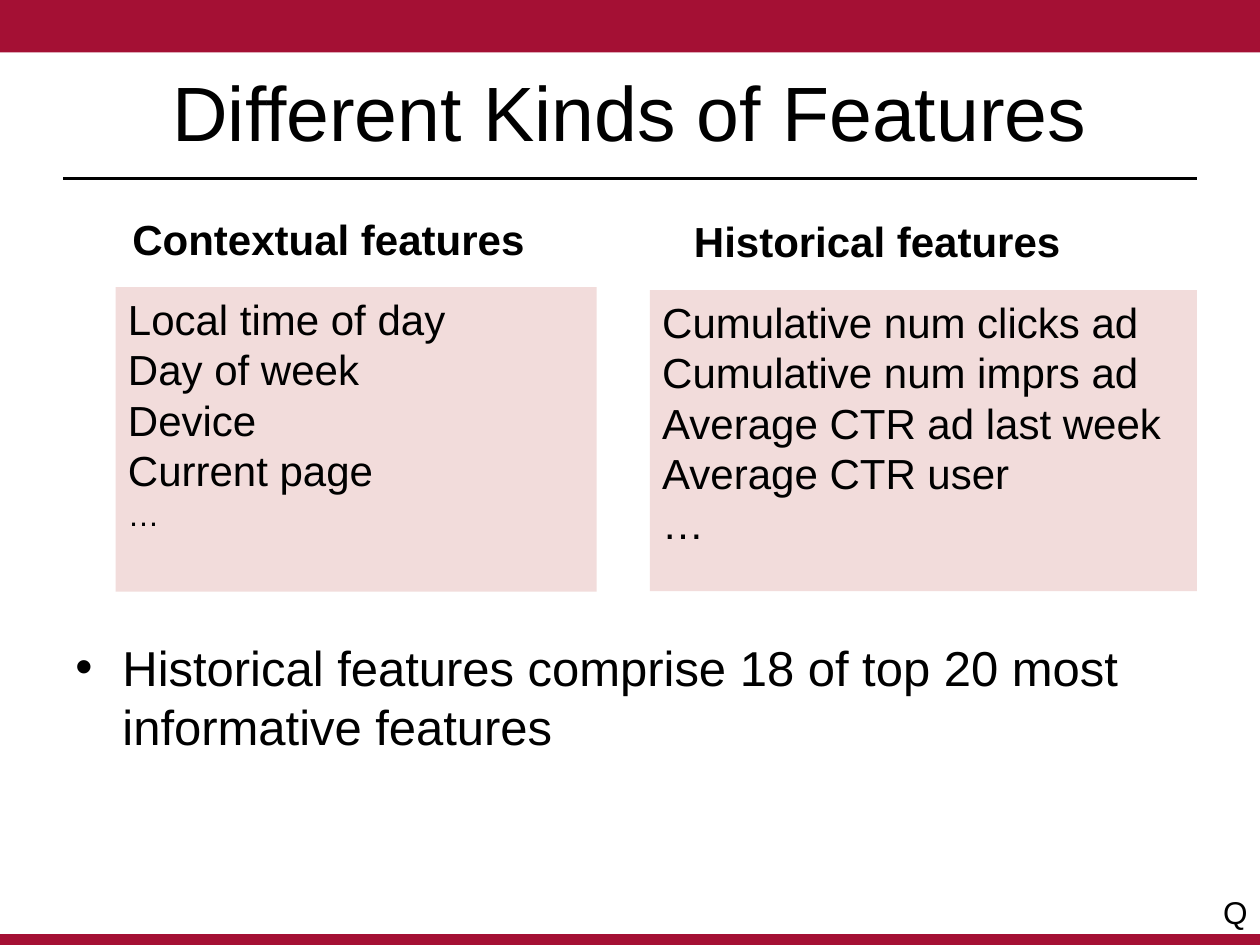
from dataclasses import dataclass
from typing import Any

from lxml.etree import SubElement
from pptx import Presentation
from pptx.dml.color import RGBColor as Rgb
from pptx.enum.shapes import MSO_CONNECTOR as Connector, MSO_SHAPE as Preset
from pptx.enum.text import MSO_ANCHOR as Anchor, PP_ALIGN as Align
from pptx.oxml.ns import qn
from pptx.util import Cm, Pt

COLORS = {"crimson": "A41034", "blush": "F2DCDB", "ink": "000000"}


def write(frame, text, size=24, bold=False, align=Align.LEFT, anchor=Anchor.TOP,
          wrap=True, bullet=False, font="Arial", sizes=None):
    """Fill a text frame with one formatted paragraph per line of text."""
    frame.word_wrap = wrap
    frame.vertical_anchor = anchor
    for index, line in enumerate(text.split("\n")):
        para = frame.paragraphs[0] if index == 0 else frame.add_paragraph()
        para.alignment = align
        if bullet:
            properties = para._p.get_or_add_pPr()
            properties.set("marL", str(Cm(0.95)))
            properties.set("indent", str(-Cm(0.95)))
            SubElement(properties, qn("a:buFont"), typeface=font)
            SubElement(properties, qn("a:buChar"), char="•")
        span = para.add_run()
        span.text = line
        span.font.name = font
        span.font.size = Pt((sizes or {}).get(line, size))
        span.font.bold = bold
        span.font.color.rgb = Rgb.from_string(COLORS["ink"])


@dataclass
class SlideBuilder:
    """Hold the style and the current slide."""

    page: Any
    font: str = "Arial"

    def title(self, text, left, top, width, height):
        """Place and format the title placeholder."""
        box = self.page.shapes.title
        box.left, box.top, box.width, box.height = map(Cm, (left, top, width, height))
        write(box.text_frame, text, size=44, align=Align.CENTER,
              anchor=Anchor.MIDDLE, font=self.font)

    def panel(self, color, left, top, width, height, text="", **style):
        """Add a filled rectangle, with text where given."""
        box = self.page.shapes.add_shape(
            Preset.RECTANGLE, *map(Cm, (left, top, width, height)))
        box.shadow.inherit = False
        box.fill.solid()
        box.fill.fore_color.rgb = Rgb.from_string(COLORS[color])
        box.line.fill.background()
        if text:
            write(box.text_frame, text, font=self.font, **style)

    def text(self, text, left, top, width, height, **style):
        """Add a text box."""
        box = self.page.shapes.add_textbox(*map(Cm, (left, top, width, height)))
        write(box.text_frame, text, font=self.font, **style)

    def rule(self, left, right, top):
        """Add a thin horizontal line."""
        line = self.page.shapes.add_connector(
            Connector.STRAIGHT, Cm(left), Cm(top), Cm(right), Cm(top))
        line.line.color.rgb = Rgb.from_string(COLORS["ink"])
        line.line.width = Pt(1.25)
        SubElement(line._element.spPr, qn("a:effectLst"))


def main():
    """Build the slide and save the deck."""
    deck = Presentation()
    deck.slide_width, deck.slide_height = Cm(25.4), Cm(19.05)
    slide = SlideBuilder(deck.slides.add_slide(deck.slide_layouts[5]))

    slide.panel("crimson", 0, 0, 25.4, 1.06)
    slide.panel("crimson", 0, 18.83, 25.4, 0.22)
    slide.rule(1.27, 24.13, 3.6)
    slide.title("Different Kinds of Features", 1.27, 0.64, 22.86, 3.18)

    slide.text("Historical features comprise 18 of top 20 most informative features",
               1.27, 12.73, 22.86, 5.38, size=28, bullet=True)
    slide.panel("blush", 2.33, 5.79, 9.7, 6.14,
                "Local time of day\nDay of week\nDevice\nCurrent page\n…",
                sizes={"…": 18})
    slide.panel("blush", 13.1, 5.85, 11.03, 6.07,
                "Cumulative num clicks ad\nCumulative num imprs ad\n"
                "Average CTR ad last week\nAverage CTR user\n…")
    slide.text("Contextual features", 2.42, 4.17, 9.6, 1.28, bold=True)
    slide.text("Historical features", 13.74, 4.22, 9.35, 1.28, bold=True)
    slide.text("Q", 24.41, 17.88, 0.99, 1.03, size=18, wrap=False)

    deck.save("out.pptx")


if __name__ == "__main__":
    main()
